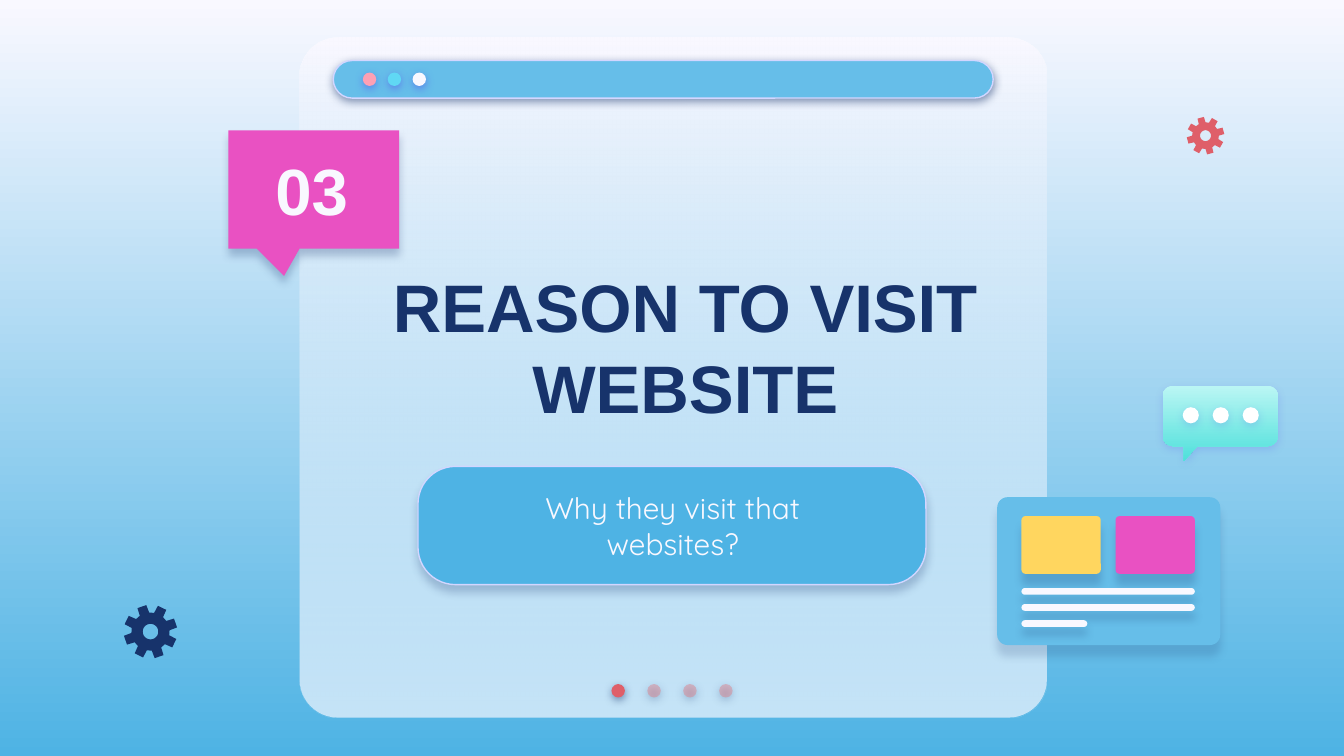
from math import cos, radians, sin

from lxml import etree
from pptx import Presentation
from pptx.dml.color import RGBColor
from pptx.enum.shapes import MSO_SHAPE
from pptx.enum.text import MSO_ANCHOR, PP_ALIGN
from pptx.oxml.ns import qn
from pptx.util import Inches, Pt

ROUND = MSO_SHAPE.ROUNDED_RECTANGLE
OVAL = MSO_SHAPE.OVAL
CALLOUT = MSO_SHAPE.ROUNDED_RECTANGULAR_CALLOUT
CENTER = PP_ALIGN.CENTER
MIDDLE, BOTTOM = MSO_ANCHOR.MIDDLE, MSO_ANCHOR.BOTTOM

PALE = RGBColor(0xF9, 0xF8, 0xFF)
WHITE = RGBColor(0xFF, 0xFF, 0xFF)
BLUE = RGBColor(0x4E, 0xB3, 0xE4)
SKY = RGBColor(0x66, 0xBE, 0xE9)
NAVY = RGBColor(0x17, 0x33, 0x6B)
INDIGO = RGBColor(0x53, 0x52, 0xEE)
LILAC = RGBColor(0xD2, 0xD6, 0xFF)
MAGENTA = RGBColor(0xE9, 0x51, 0xC2)
YELLOW = RGBColor(0xFF, 0xD6, 0x5F)
RED = RGBColor(0xDF, 0x5F, 0x69)
ROSE = RGBColor(0xE2, 0x7B, 0x83)
PINK = RGBColor(0xFD, 0xA0, 0xB4)
CYAN = RGBColor(0x60, 0xD8, 0xF4)
MINT = RGBColor(0xBB, 0xF6, 0xF4)
TEAL = RGBColor(0x4E, 0xE0, 0xDB)


def gradient(fill, top, bottom):
    fill.gradient()
    fill.gradient_angle = 270
    for stop, color in zip(fill.gradient_stops, (top, bottom)):
        stop.color.rgb = color


def arc(cx, cy, radius, start, end, steps=8):
    """Points along a circle; angles in degrees, clockwise from the right."""
    angles = [radians(start + (end - start) * i / steps) for i in range(steps + 1)]
    return [(cx + radius * cos(a), cy + radius * sin(a)) for a in angles]


class SlideBuilder:
    def __init__(self, slide):
        self.slide = slide
        self.shapes = slide.shapes

    def style(self, sp, fill, opacity=100, line=None, shadow=None):
        """fill: a colour or (top, bottom); shadow: (colour, opacity %, distance pt).

        The opacity applies to the last colour of the fill.
        """
        if isinstance(fill, RGBColor):
            sp.fill.solid()
            sp.fill.fore_color.rgb = fill
        else:
            gradient(sp.fill, *fill)
        spPr = sp._element.spPr
        if opacity < 100:
            clr = spPr.findall(".//" + qn("a:srgbClr"))[-1]
            etree.SubElement(clr, qn("a:alpha"), val=str(opacity * 1000))
        if line is None:
            sp.line.fill.background()
        else:
            sp.line.color.rgb = line
            sp.line.width = Pt(0.75)
        sp.shadow.inherit = False
        if shadow:
            color, strength, distance = shadow
            outer = etree.SubElement(
                spPr.find(qn("a:effectLst")), qn("a:outerShdw"), blurRad=str(Pt(4.5)),
                dist=str(Pt(distance)), dir="5400000", algn="bl", rotWithShape="0")
            clr = etree.SubElement(outer, qn("a:srgbClr"), val=str(color))
            etree.SubElement(clr, qn("a:alpha"), val=str(strength * 1000))

    def shape(self, kind, x, y, w, h, fill, adj=(), **style):
        sp = self.shapes.add_shape(kind, Inches(x), Inches(y), Inches(w), Inches(h))
        for i, value in enumerate(adj):
            sp.adjustments[i] = value
        self.style(sp, fill, **style)

    def outline(self, contours, fill, **style):
        contours = [[(Inches(x), Inches(y)) for x, y in c] for c in contours]
        fb = self.shapes.build_freeform(*contours[0][0])
        fb.add_line_segments(contours[0][1:], close=True)
        for contour in contours[1:]:
            fb.move_to(*contour[0])
            fb.add_line_segments(contour[1:], close=True)
        self.style(fb.convert_to_shape(), fill, **style)

    def gear(self, cx, cy, radius, tilt, fill):
        """Eight-toothed wheel with a hole, the first tooth tilted from the top."""
        rim = []
        for tooth in range(8):
            angle = tilt - 90 + 45 * tooth
            for offset, r in ((-15, 0.71), (-10, 1), (10, 1), (15, 0.71)):
                rim += arc(cx, cy, radius * r, angle + offset, angle + offset, 1)[:1]
        self.outline([rim, arc(cx, cy, radius * 0.29, 360, 0, 24)], fill)

    def text(self, x, y, w, h, text, size, font, color, bold=False, anchor=MIDDLE):
        box = self.shapes.add_textbox(Inches(x), Inches(y), Inches(w), Inches(h))
        tf = box.text_frame
        tf.word_wrap = True
        tf.vertical_anchor = anchor
        tf.margin_left = tf.margin_right = Inches(0.1)
        tf.margin_top = tf.margin_bottom = Inches(0.1)
        tf.text = text
        p = tf.paragraphs[0]
        p.alignment = CENTER
        f = p.runs[0].font
        f.size, f.name, f.bold = Pt(size), font, bold
        f.color.rgb = color


def add_window(s):
    for fill, opacity in ((PALE, 100), ((PALE, SKY), 35)):
        s.shape(ROUND, 2.23, 0.28, 5.56, 5.06, fill, [0.056], opacity=opacity)
    for i in range(4):
        s.shape(OVAL, 4.55 + 0.267 * i, 5.09, 0.1, 0.1, ROSE if i else RED,
                opacity=44 if i else 100, shadow=(NAVY, 50, 1.5))
    s.shape(ROUND, 2.48, 0.45, 4.91, 0.28, SKY, [0.5], line=LILAC,
            shadow=(NAVY, 50, 1.5))
    for i, color in enumerate((PINK, CYAN, PALE)):
        s.shape(OVAL, 2.7 + 0.185 * i, 0.54, 0.1, 0.1, color, shadow=(INDIGO, 50, 1.5))


def add_page_card(s):
    s.shape(ROUND, 7.42, 3.7, 1.66, 1.1, SKY, [0.07], shadow=(NAVY, 17, 6))
    for x, color in ((7.6, YELLOW), (8.3, MAGENTA)):
        s.shape(ROUND, x, 3.84, 0.59, 0.43, color, [0.07], shadow=(NAVY, 20, 6))
    for i, width in enumerate((1.29, 1.29, 0.49)):
        s.shape(ROUND, 7.6, 4.375 + 0.12 * i, width, 0.05, PALE, [0.5],
                shadow=(NAVY, 21, 4.5))


def add_chat_bubble(s):
    left, top, right, bottom, r = 8.65, 2.87, 9.51, 3.32, 0.08
    bubble = (arc(left + r, top + r, r, 180, 270) + arc(right - r, top + r, r, 270, 360)
              + arc(right - r, bottom - r, r, 0, 90)
              + [(8.91, bottom), (8.81, 3.43), (8.81, bottom)]
              + arc(left + r, bottom - r, r, 90, 180))
    shadow = (INDIGO, 18, 1.5)
    s.outline([bubble], (MINT, TEAL), shadow=shadow)
    for i in range(3):
        s.shape(OVAL, 8.8 + 0.223 * i, 3.03, 0.12, 0.12, WHITE, shadow=shadow)


def main():
    prs = Presentation()
    prs.slide_width = Inches(10)
    prs.slide_height = prs.slide_width * 9 // 16
    slide = prs.slides.add_slide(prs.slide_layouts[6])
    gradient(slide.background.fill, PALE, BLUE)
    s = SlideBuilder(slide)

    add_window(s)
    s.shape(CALLOUT, 1.7, 0.97, 1.27, 0.88, MAGENTA, [-0.174, 0.731, 0],
            shadow=(NAVY, 25, 3.8))
    s.shape(ROUND, 3.11, 3.47, 3.78, 0.88, BLUE, [0.317], line=LILAC,
            shadow=(NAVY, 24, 3.8))
    s.text(2.6, 1.65, 5, 1.85, "REASON TO VISIT WEBSITE", 36, "Arial", NAVY, bold=True)
    s.text(3.5, 3.52, 3.01, 0.78, "Why they visit that websites?", 16, "Quicksand", PALE)
    add_page_card(s)
    add_chat_bubble(s)
    s.gear(1.12, 4.7, 0.2, -19, NAVY)
    s.gear(8.97, 1.01, 0.14, -15, RED)
    s.text(1.79, 1.02, 1.06, 0.78, "03", 35, "Arial", PALE, bold=True, anchor=BOTTOM)

    prs.save("out.pptx")


if __name__ == "__main__":
    main()
